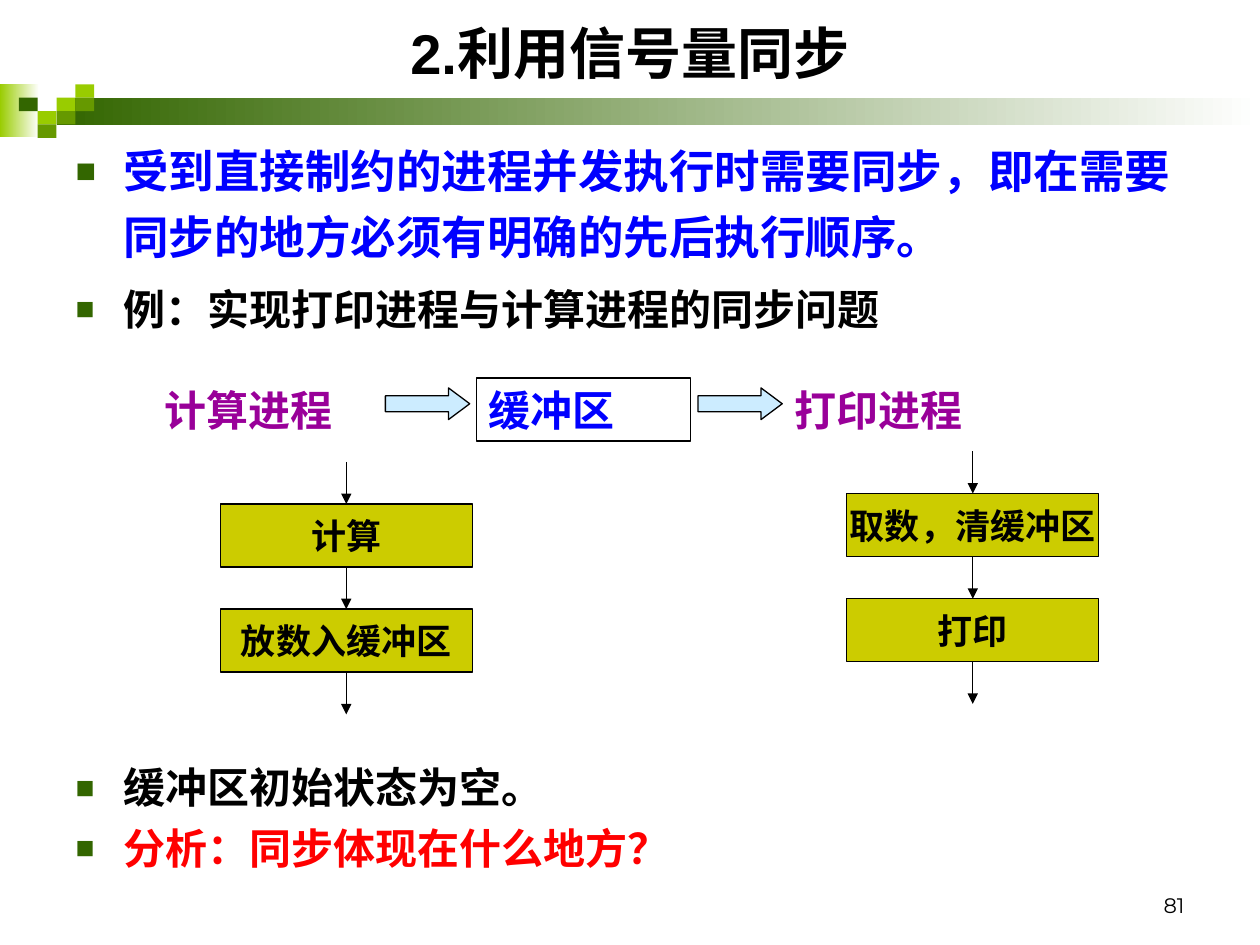
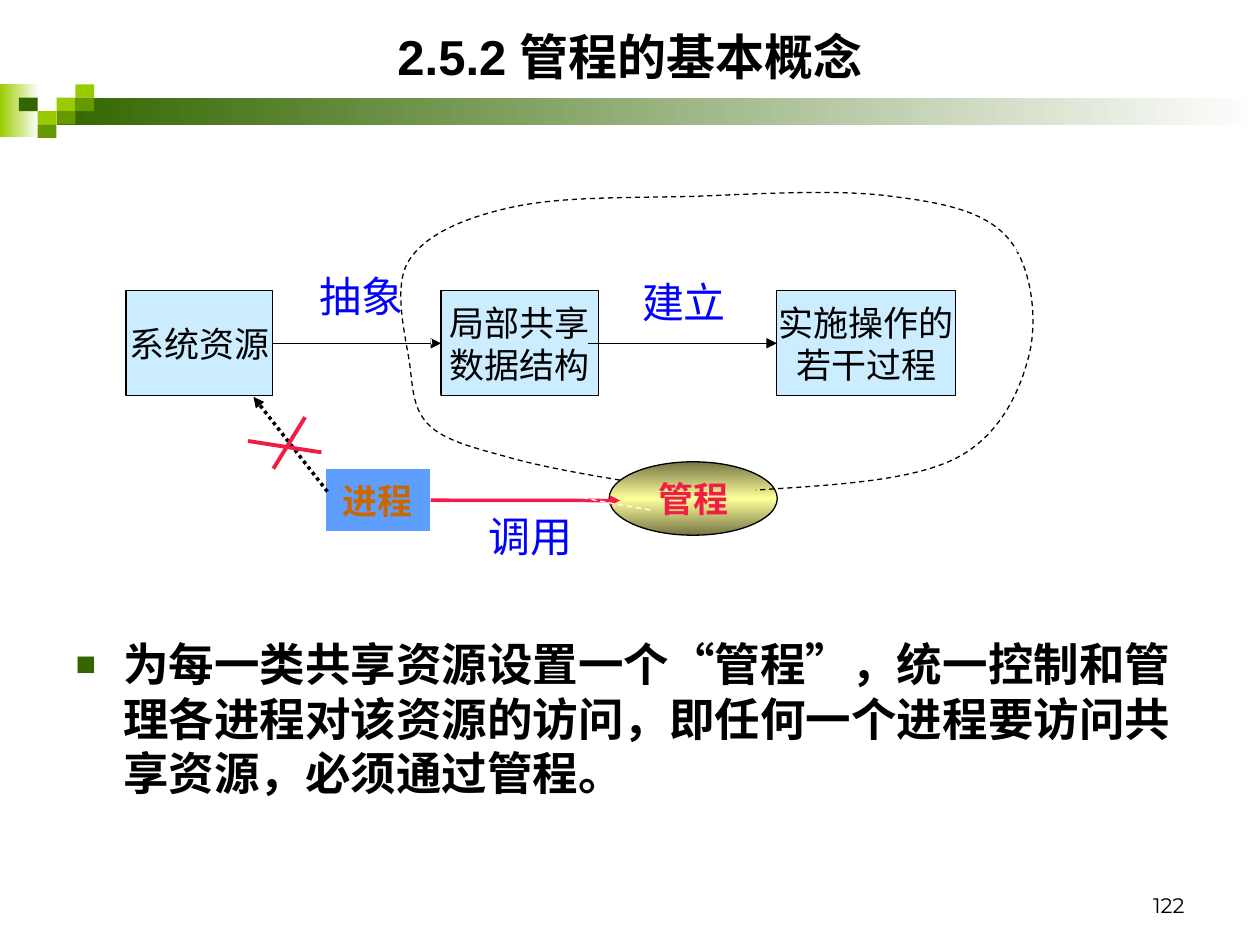
from copy import deepcopy

from lxml import etree
from pptx import Presentation
from pptx.dml.color import RGBColor
from pptx.enum.dml import MSO_LINE
from pptx.enum.shapes import MSO_CONNECTOR, MSO_SHAPE
from pptx.enum.text import MSO_ANCHOR, MSO_AUTO_SIZE, PP_ALIGN
from pptx.oxml.ns import qn
from pptx.util import Cm, Pt

RECTANGLE, ELLIPSE, RIGHT_ARROW = MSO_SHAPE.RECTANGLE, MSO_SHAPE.OVAL, MSO_SHAPE.RIGHT_ARROW
LEFT, CENTER, RIGHT = PP_ALIGN.LEFT, PP_ALIGN.CENTER, PP_ALIGN.RIGHT
TOP, MIDDLE, BOTTOM = MSO_ANCHOR.TOP, MSO_ANCHOR.MIDDLE, MSO_ANCHOR.BOTTOM
NO_AUTOFIT = MSO_AUTO_SIZE.NONE
STRAIGHT = MSO_CONNECTOR.STRAIGHT
DASH, DOTS = MSO_LINE.DASH, MSO_LINE.ROUND_DOT

BLACK = RGBColor(0x00, 0x00, 0x00)
WHITE = RGBColor(0xFF, 0xFF, 0xFF)
BLUE = RGBColor(0x00, 0x00, 0xFF)
RED = RGBColor(0xFF, 0x00, 0x00)
CRIMSON = RGBColor(0xF0, 0x1E, 0x46)
PURPLE = RGBColor(0x99, 0x00, 0x99)
ORANGE = RGBColor(0xCC, 0x66, 0x00)
LIME = RGBColor(0x99, 0xCC, 0x00)
GREEN = RGBColor(0x66, 0x99, 0x00)
DARK_GREEN = RGBColor(0x33, 0x66, 0x00)
MUSTARD = RGBColor(0xCC, 0xCC, 0x00)
PALE_BLUE = RGBColor(0xCC, 0xEC, 0xFF)
SKY_BLUE = RGBColor(0x5E, 0x9E, 0xFF)
OLIVE = RGBColor(0x76, 0x76, 0x47)
PALE_YELLOW = RGBColor(0xFF, 0xFF, 0x99)

SANS, SERIF, CHINESE, NUMBER = "Arial", "Times New Roman", "Noto Sans CJK SC", "Montserrat"
INDENT = Cm(0.96)


def write_text(shape, rows, font=SANS, bold=True, align=CENTER, anchor=MIDDLE, wrap=True):
    """Write one paragraph for each (text, size, colour) row."""
    frame = shape.text_frame
    frame.text = "\n".join(text for text, size, color in rows)
    frame.auto_size = NO_AUTOFIT
    frame.word_wrap = wrap
    frame.vertical_anchor = anchor
    for paragraph, (text, size, color) in zip(frame.paragraphs, rows):
        paragraph.alignment = align
        paragraph.space_before = Pt(0)
        for run in paragraph.runs:
            run.font.name = font
            run.font.size = Pt(size)
            run.font.bold = bold
            run.font.color.rgb = color
            etree.SubElement(run.font._element, qn("a:ea"), typeface=CHINESE)


def add_line(slide, start, end, color=BLACK, width=0.75, arrow=True, dash=None):
    line = slide.shapes.add_connector(STRAIGHT, *map(Cm, start + end))
    line.line.color.rgb = color
    line.line.width = Pt(width)
    if dash:
        line.line.dash_style = dash
    properties = line._element.spPr
    if arrow:
        etree.SubElement(properties.find(qn("a:ln")), qn("a:tailEnd"), type="triangle")
    etree.SubElement(properties, qn("a:effectLst"))
    return line


presentation = Presentation()
presentation.slide_width, presentation.slide_height = Cm(25.4), Cm(19.05)
sync_slide = presentation.slides.add_slide(presentation.slide_layouts[3])
monitor_slide = presentation.slides.add_slide(presentation.slide_layouts[1])

# Green band and pixel squares, moved to the master
CELL_WIDTH, CELL_HEIGHT, BAND_TOP = 0.38, 0.27, 1.7
band_parts = [
    (0, BAND_TOP, 0.79, 1.07, LIME, True),
    (1.14, BAND_TOP + CELL_HEIGHT, 24.26, 0.55, DARK_GREEN, True),
]
for column, row, color in [(3, 1, LIME), (4, 0, LIME), (4, 1, GREEN), (2, 2, LIME),
                           (1, 1, DARK_GREEN), (3, 2, GREEN), (2, 3, GREEN)]:
    band_parts.append((column * CELL_WIDTH, BAND_TOP + row * CELL_HEIGHT,
                       CELL_WIDTH, CELL_HEIGHT, color, False))
for index, (left, top, width, height, color, fades) in enumerate(band_parts):
    shape = sync_slide.shapes.add_shape(RECTANGLE, Cm(left), Cm(top), Cm(width), Cm(height))
    shape.shadow.inherit = False
    shape.line.fill.background()
    if fades:
        shape.fill.gradient()
        shape.fill.gradient_angle = 0
        for stop, stop_color in zip(shape.fill.gradient_stops, (color, WHITE)):
            stop.color.rgb = stop_color
    else:
        shape.fill.solid()
        shape.fill.fore_color.rgb = color
    shape._element.nvSpPr.cNvPr.set("id", str(100 + index))
    presentation.slide_master.shapes._spTree.insert(2 + index, shape._element)

# Titles and page numbers
for slide, title, size, top, height, number in [
    (sync_slide, "2.利用信号量同步", 32, 0.2, 1.7, "81"),
    (monitor_slide, "2.5.2 管程的基本概念", 28, 0.13, 2, "122"),
]:
    shape = slide.shapes.title
    shape.left, shape.top, shape.width, shape.height = Cm(1.27), Cm(top), Cm(22.86), Cm(height)
    write_text(shape, [(title, size, BLACK)])
    shape = slide.shapes.add_textbox(Cm(18.21), Cm(17.35), Cm(5.92), Cm(1.27))
    write_text(shape, [(number, 12, BLACK)], NUMBER, False, RIGHT, BOTTOM)

# Bulleted lists
for slide, index, top, width, height, spacing, before, rows in [
    (sync_slide, 1, 2.54, 22.86, 4.45, 1.2, 6, [
        ("受到直接制约的进程并发执行时需要同步，即在需要同步的地方必须有明确的先后执行顺序。", 26, BLUE),
        ("例：实现打印进程与计算进程的同步问题", 24, BLACK)]),
    (sync_slide, 2, 15.03, 18.2, 2.75, 1.2, 0, [
        ("缓冲区初始状态为空。", 24, BLACK),
        ("分析：同步体现在什么地方？", 24, RED)]),
    (monitor_slide, 1, 12.7, 22.86, 5.29, 1, 0, [
        ("为每一类共享资源设置一个“管程”，统一控制和管理各进程对该资源的访问，"
         "即任何一个进程要访问共享资源，必须通过管程。", 26, BLACK)]),
]:
    shape = slide.placeholders[index]
    shape.left, shape.top, shape.width, shape.height = Cm(1.27), Cm(top), Cm(width), Cm(height)
    write_text(shape, rows, align=LEFT, anchor=TOP)
    for position, paragraph in enumerate(shape.text_frame.paragraphs):
        properties = paragraph._p.get_or_add_pPr()
        properties.set("marL", str(INDENT))
        properties.set("indent", str(-INDENT))
        bullet_color = etree.SubElement(properties, qn("a:buClr"))
        etree.SubElement(bullet_color, qn("a:srgbClr"), val=str(DARK_GREEN))
        etree.SubElement(properties, qn("a:buSzPct"), val="75000")
        etree.SubElement(properties, qn("a:buFont"), typeface=SANS)
        etree.SubElement(properties, qn("a:buChar"), char="■")
        paragraph.line_spacing = float(spacing)
        paragraph.space_before = Pt(before if position else 0)

# Text labels without a frame
for slide, text, left, top, width, color, font, bold, align, anchor in [
    (sync_slide, "计算进程", 3.07, 7.62, 5.56, PURPLE, SANS, True, LEFT, TOP),
    (sync_slide, "打印进程", 15.77, 7.62, 5.79, PURPLE, SANS, True, LEFT, TOP),
    (monitor_slide, "抽象", 6.2, 5.33, 2.18, BLUE, SERIF, False, CENTER, MIDDLE),
    (monitor_slide, "建立", 12.7, 5.44, 2.18, BLUE, SERIF, False, CENTER, MIDDLE),
    (monitor_slide, "调用", 9.6, 10.16, 2.18, BLUE, SERIF, False, CENTER, MIDDLE),
]:
    shape = slide.shapes.add_textbox(Cm(left), Cm(top), Cm(width), Cm(1.27))
    write_text(shape, [(text, 24, color)], font, bold, align, anchor, align == LEFT)

# Framed boxes of both diagrams; the process steps stand in two columns
STEP_WIDTH, STEP_HEIGHT, STEP_GAP = 5.08, 1.27, 0.85
STEP_PITCH = STEP_HEIGHT + STEP_GAP
step_columns = [(6.98, 10.16, ["计算", "放数入缓冲区"]),
                (19.61, 9.95, ["取数，清缓冲区", "打印"])]
boxes = [
    (sync_slide, RECTANGLE, "缓冲区", 9.6, 7.62, 4.32, 1.27, WHITE, BLACK, 24, BLUE, SERIF, True, LEFT),
    (sync_slide, RIGHT_ARROW, "", 7.77, 7.82, 1.7, 0.64, PALE_BLUE, BLACK, 24, BLACK, SANS, True, CENTER),
    (sync_slide, RIGHT_ARROW, "", 14.07, 7.82, 1.7, 0.64, PALE_BLUE, BLACK, 24, BLACK, SANS, True, CENTER),
    (monitor_slide, ELLIPSE, "管程", 12.28, 9.31, 3.39, 1.48, OLIVE, BLACK, 20, CRIMSON, CHINESE, True, CENTER),
    (monitor_slide, RECTANGLE, "进程", 6.56, 9.45, 2.12, 1.27, SKY_BLUE, WHITE, 20, ORANGE, SANS, True, CENTER),
]
for text, left, width in [("系统资源", 2.54, 2.96), ("局部共享\n数据结构", 8.89, 3.18),
                          ("实施操作的\n若干过程", 15.66, 3.61)]:
    boxes.append((monitor_slide, RECTANGLE, text, left, 5.86, width, 2.12,
                  PALE_BLUE, BLACK, 20, BLACK, SERIF, False, CENTER))
for center, first_top, steps in step_columns:
    for index, text in enumerate(steps):
        boxes.append((sync_slide, RECTANGLE, text, center - STEP_WIDTH / 2,
                      first_top + index * STEP_PITCH, STEP_WIDTH, STEP_HEIGHT,
                      MUSTARD, BLACK, 20, BLACK, SANS, True, CENTER))

box_by_text = {}
for (slide, kind, text, left, top, width, height, fill, outline,
     size, color, font, bold, align) in boxes:
    shape = slide.shapes.add_shape(kind, Cm(left), Cm(top), Cm(width), Cm(height))
    shape.shadow.inherit = False
    shape.line.color.rgb = outline
    shape.line.width = Pt(0.75)
    if kind == ELLIPSE:
        shape.fill.gradient()
        shape.fill.gradient_angle = 90
        first_stop = shape._element.xpath(".//a:gs")[0]
        first_stop.addnext(deepcopy(first_stop))
        stop_values = [(0, OLIVE), (0.5, PALE_YELLOW), (1, OLIVE)]
        for stop, (position, stop_color) in zip(shape.fill.gradient_stops, stop_values):
            stop.position = position
            stop.color.rgb = stop_color
    else:
        shape.fill.solid()
        shape.fill.fore_color.rgb = fill
    if kind == RIGHT_ARROW:
        shape.adjustments[1] = 0.67
    if text:
        rows = [(line, size, color) for line in text.split("\n")]
        write_text(shape, rows, font, bold, align, MIDDLE, align == LEFT)
        box_by_text[text] = shape

# Arrows into, between and out of the process steps
for center, first_top, steps in step_columns:
    for index in range(len(steps) + 1):
        end_y = first_top + index * STEP_PITCH
        line = add_line(sync_slide, (center, end_y - STEP_GAP), (center, end_y))
        if index > 0:
            line.begin_connect(box_by_text[steps[index - 1]], 2)
        if index < len(steps):
            line.end_connect(box_by_text[steps[index]], 0)

# Arrows from resource to data structure to procedures
line = add_line(monitor_slide, (5.5, 6.92), (8.89, 6.92))
line.begin_connect(box_by_text["系统资源"], 3)
line.end_connect(box_by_text["局部共享\n数据结构"], 1)
line = add_line(monitor_slide, (11.86, 6.92), (15.66, 6.92))
line.end_connect(box_by_text["实施操作的\n若干过程"], 1)

# Forbidden direct access, crossed out
add_line(monitor_slide, (6.6, 9.91), (5.11, 8), width=2, dash=DOTS)
add_line(monitor_slide, (6.15, 8.41), (5.51, 9.45), CRIMSON, 2.25, False)
add_line(monitor_slide, (5, 8.89), (6.48, 9.12), CRIMSON, 2.25, False)

# Call from the process to the monitor
line = add_line(monitor_slide, (8.68, 10.09), (12.5, 10.09), CRIMSON, 2)
line.begin_connect(box_by_text["进程"], 3)

# Dashed loop around the monitor's parts, with a white echo; three points make one curve
loop_start = (12.5, 9.68)
loop_points = [
    (11.73, 9.55), (11, 9.42), (10.36, 9.25),
    (9.73, 9.07), (9.04, 8.92), (8.69, 8.61),
    (8.33, 8.28), (8.33, 7.9), (8.26, 7.34),
    (8.18, 6.78), (7.9, 5.74), (8.26, 5.23),
    (8.61, 4.7), (9.42, 4.37), (10.36, 4.17),
    (11.33, 3.96), (12.7, 3.99), (13.97, 3.96),
    (15.24, 3.91), (16.94, 3.81), (17.98, 3.96),
    (19.05, 4.09), (19.86, 4.27), (20.32, 4.8),
    (20.78, 5.33), (20.93, 6.38), (20.75, 7.14),
    (20.57, 7.87), (20.17, 8.79), (19.25, 9.25),
    (18.34, 9.7), (16.79, 9.78), (15.24, 9.88),
]
for offset, color in [(0, BLACK), (0.6, WHITE)]:
    start, *points = [(Cm(x + offset), Cm(y + offset)) for x, y in [loop_start] + loop_points]
    builder = monitor_slide.shapes.build_freeform(*start)
    builder.add_line_segments(points, close=False)
    loop = builder.convert_to_shape()
    loop.shadow.inherit = False
    loop.fill.background()
    loop.line.color.rgb = color
    loop.line.width = Pt(0.75)
    loop.line.dash_style = DASH
    segments = loop._element.xpath(".//a:lnTo")
    outline = segments[0].getparent()
    for index in range(0, len(segments), 3):
        curve = etree.SubElement(outline, qn("a:cubicBezTo"))
        for segment in segments[index:index + 3]:
            curve.append(segment[0])
            outline.remove(segment)

presentation.save("out.pptx")
